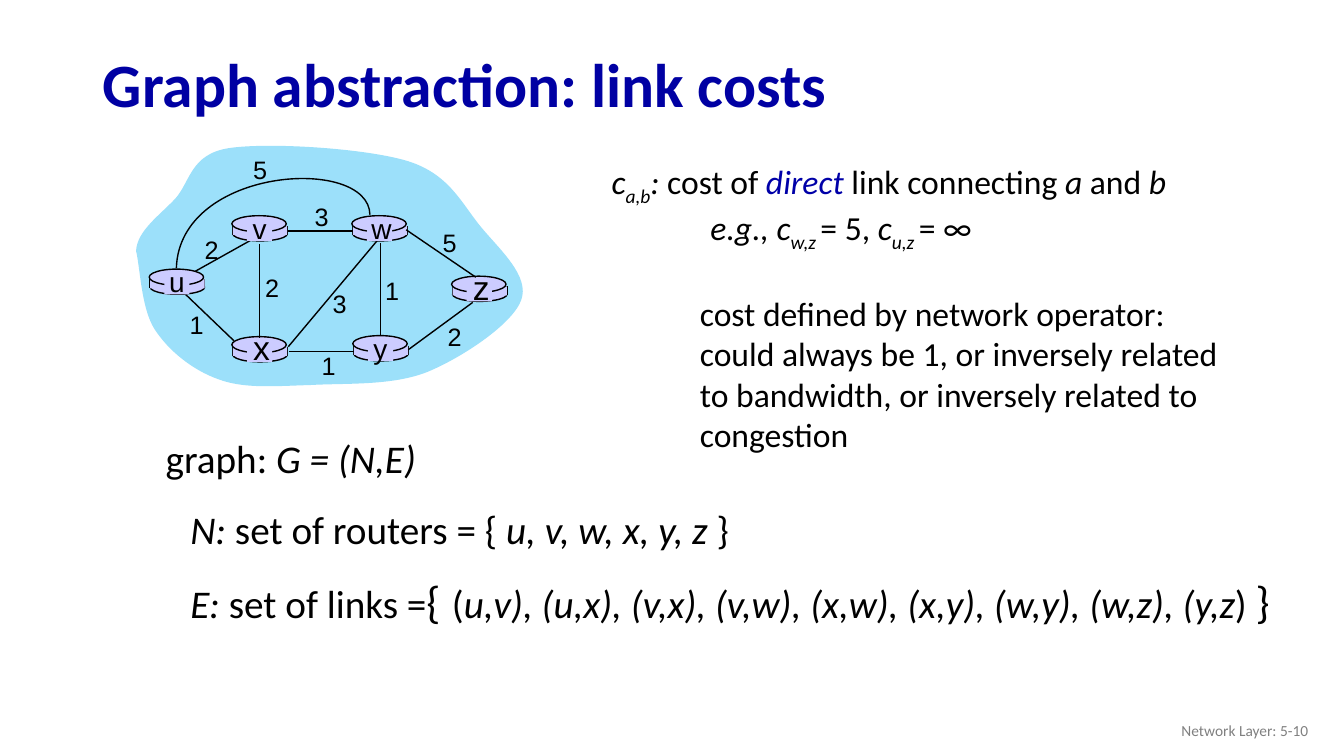
from pptx import Presentation
from pptx import util as u
from pptx.dml import color
from pptx.enum import shapes, text
from pptx.oxml import ns, xmlchemy

COLORS = {"title": "0000A3", "accent": "0000A8", "ink": "000000", "muted": "808080",
          "cloud": "9CE0FA", "router": "CCCCFF"}
COLUMNS, ROWS = 133.33, 75

CLOUD = [(13.5, 24.9),
         (13.6, 22.9), (15.8, 21.4), (17.4, 19.7), (18.9, 18), (18.9, 15.3), (22.7, 14.7),
         (26.6, 14.1), (36.3, 14.7), (40.5, 16), (44.6, 17.3), (45.8, 20.2), (47.7, 22.5),
         (49.6, 24.8), (52.6, 27.4), (51.7, 29.8), (50.8, 32.2), (45.8, 35.5), (42.4, 36.9),
         (38.9, 38.3), (34.2, 38), (30.8, 38.2), (27.3, 38.3), (24.2, 38.6), (21.6, 37.6),
         (19.1, 36.7), (16.7, 34.8), (15.3, 32.6), (14, 30.5), (13.9, 26.5), (13.5, 24.9)]
ARC = [(36.7, 21.3), (36.6, 15.4), (17.8, 16.5), (17.5, 26.6)]

ROUTERS = [("u", 14.8, 26.7, 20), ("x", 23, 33.4, 24), ("v", 23, 21.4, 20),
           ("w", 34.9, 21.4, 20), ("y", 35, 33.3, 20), ("z", 44.8, 27.4, 24)]

LINKS = [((19.4, 26.9), (25.3, 23.6), "2", (21, 24.7)),
         ((37.75, 24.1), (37.75, 33.2), "1", (38.9, 28.8)),
         ((25.75, 24.2), (25.75, 33.5), "2", (27, 28.5)),
         ((28.6, 34.4), (37.4, 23.9), "3", (33.7, 30.1)),
         ((40.5, 34.7), (46.9, 30), "2", (45.1, 33.4)),
         ((35.1, 34.9), (28.7, 34.9), "1", (32.6, 36.3)),
         ((23.2, 33.8), (18.4, 29.2), "1", (19.5, 32.2)),
         ((35, 22.9), (28.6, 22.9), "3", (31.9, 21.5)),
         ((47.2, 27.5), (40.3, 22.8), "5", (44.6, 24.1))]

COST_TEXT = [
    [("c", "i"), ("a,b", "is"), (": ", "i"), ("cost of ", ""), ("direct", "ia"),
     (" link connecting ", ""), ("a", "i"), (" and ", ""), ("b", "i")],
    [("e.g., c", "i"), ("w,z ", "is"), ("= 5, ", ""), ("c", "i"), ("u,z ", "is"), ("= ∞", "")],
    [("cost defined by network operator: could always be 1, or inversely related "
      "to bandwidth, or inversely related to congestion", "")]]
GRAPH_TEXT = [("graph: ", ""), ("G = (N,E)", "i")]
NODES_TEXT = [("N: ", "i"), ("set of routers = { ", ""), ("u, v, w, x, y, z ", "i"), ("}", "")]
LINKS_TEXT = [("E: ", "i"), ("set of links =", ""), ("{", "", 32), (" ", "", 36), ("(", ""),
              ("u,v), (u,x), (v,x), (v,w), (x,w), (x,y), (w,y), (w,z), (y,z", "i"),
              (") ", ""), ("}", "", 32)]


def rgb(name):
    return color.RGBColor.from_string(COLORS[name])


class SlideBuilder:
    body_font, graph_font = "Calibri", "Arial"

    def __init__(self, presentation):
        self.column = presentation.slide_width / COLUMNS
        self.row = presentation.slide_height / ROWS
        self.slide = presentation.slides.add_slide(presentation.slide_layouts[5])
        self.shapes = self.slide.shapes

    def place(self, *lengths):
        return [round(length * (self.row if index % 2 else self.column))
                for index, length in enumerate(lengths)]

    def start_group(self):
        self.shapes = self.slide.shapes.add_group_shape().shapes

    def end_group(self):
        self.shapes = self.slide.shapes

    def format_run(self, run, size, font, tint="ink", bold=False, italic=False):
        run.font.name, run.font.size = font, u.Pt(size)
        run.font.bold, run.font.italic = bold, italic
        run.font.color.rgb = rgb(tint)

    def paint(self, shape, fill=None, outlined=False):
        shape.shadow.inherit = False
        if fill:
            shape.fill.solid()
            shape.fill.fore_color.rgb = rgb(fill)
        else:
            shape.fill.background()
        if outlined:
            shape.line.color.rgb, shape.line.width = rgb("ink"), u.Pt(1)
        else:
            shape.line.fill.background()

    def title(self, wording, left, top, width, height):
        shape = self.slide.shapes.title
        shape.left, shape.top, shape.width, shape.height = self.place(left, top, width, height)
        frame = shape.text_frame
        frame.text = wording
        frame.vertical_anchor = text.MSO_ANCHOR.MIDDLE
        paragraph = frame.paragraphs[0]
        paragraph.alignment, paragraph.line_spacing = text.PP_ALIGN.LEFT, 0.9
        self.format_run(paragraph.runs[0], 44, self.body_font, "title", bold=True)

    def label(self, wording, left, top, width, height, size, font, tint="ink",
              align=text.PP_ALIGN.CENTER):
        frame = self.shapes.add_textbox(*self.place(left, top, width, height)).text_frame
        frame.word_wrap = False
        frame.vertical_anchor = text.MSO_ANCHOR.MIDDLE
        frame.text = wording
        frame.paragraphs[0].alignment = align
        self.format_run(frame.paragraphs[0].runs[0], size, font, tint)

    def graph_label(self, wording, center, size):
        x, y = center
        width, height = {18: (3.4, 4), 20: (3.6, 4.3), 24: (3.7, 5)}[size]
        self.label(wording, x - width / 2, y - height / 2, width, height, size, self.graph_font)

    def rich_text(self, paragraphs, left, top, width, height, size, wrap=False):
        frame = self.shapes.add_textbox(*self.place(left, top, width, height)).text_frame
        frame.word_wrap = wrap
        for index, pieces in enumerate(paragraphs):
            paragraph = frame.add_paragraph() if index else frame.paragraphs[0]
            for wording, style, *custom_size in pieces:
                run = paragraph.add_run()
                run.text = wording
                self.format_run(run, custom_size[0] if custom_size else size, self.body_font,
                                "accent" if "a" in style else "ink", italic="i" in style)
                if "s" in style:
                    run.font._element.set("baseline", "-25000")
        return frame.paragraphs

    def indent(self, paragraph, columns):
        properties = paragraph._p.get_or_add_pPr()
        properties.set("marL", str(round(columns * self.column)))
        properties.set("indent", "0")

    def line(self, start, end):
        connector = self.shapes.add_connector(shapes.MSO_CONNECTOR.STRAIGHT,
                                              *self.place(*start, *end))
        connector.line.color.rgb, connector.line.width = rgb("ink"), u.Pt(1)
        connector._element.spPr.append(xmlchemy.OxmlElement("a:effectLst"))

    def curve(self, points, fill=None):
        builder = self.shapes.build_freeform(*self.place(*points[0]))
        builder.add_line_segments([self.place(*point) for point in points[1:]],
                                  close=bool(fill))
        shape = builder.convert_to_shape()
        segments = list(shape._element.iter(ns.qn("a:lnTo")))
        for index in range(0, len(segments), 3):
            bend = xmlchemy.OxmlElement("a:cubicBezTo")
            segments[index].addprevious(bend)
            for segment in segments[index:index + 3]:
                bend.append(segment[0])
                segment.getparent().remove(segment)
        self.paint(shape, fill, outlined=not fill)

    def block(self, kind, left, top, width, height, outlined=False):
        shape = self.shapes.add_shape(kind, *self.place(left, top, width, height))
        self.paint(shape, "router", outlined)

    def router(self, left, top):
        oval, box = shapes.MSO_SHAPE.OVAL, shapes.MSO_SHAPE.RECTANGLE
        self.block(oval, left + 0.1, top + 1.1, 5.4, 1.4, outlined=True)
        for side in (left + 0.1, left + 5.5):
            self.line((side, top + 1), (side, top + 1.9))
        self.block(box, left + 0.1, top + 1, 5.4, 0.9)
        self.block(oval, left, top, 5.4, 1.6, outlined=True)

    def router_name(self, name, left, top, size):
        self.block(shapes.MSO_SHAPE.RECTANGLE, left + 1.5, top + 0.2, 2.5, 2.3)
        shift, drop = (2.75, 1.25) if size == 20 else (2.95, 1.05)
        self.graph_label(name, (left + shift, top + drop), size)


def main():
    presentation = Presentation()
    presentation.slide_width, presentation.slide_height = u.Inches(13.33), u.Inches(7.5)
    builder = SlideBuilder(presentation)
    builder.title("Graph abstraction: link costs", 9.2, 3.8, 75, 9.8)
    builder.label("Network Layer: 5-10", 100.8, 70.5, 30, 4, 11, builder.body_font,
                  "muted", text.PP_ALIGN.RIGHT)

    builder.start_group()
    builder.curve(CLOUD, "cloud")
    for name, left, top, size in ROUTERS:
        builder.router(left, top)
    for start, end, cost, center in LINKS:
        builder.line(start, end)
    builder.curve(ARC)
    for router in ROUTERS:
        builder.router_name(*router)
    for start, end, cost, center in LINKS:
        builder.graph_label(cost, center, 18)
    builder.graph_label("5", (25.8, 16.85), 18)
    builder.end_group()

    builder.rich_text([GRAPH_TEXT], 15.45, 42.6, 27.1, 10.4, 28)
    definition, example, operator = builder.rich_text(COST_TEXT, 59.7, 15.5, 64.4, 29.3, 24,
                                                      wrap=True)
    builder.indent(example, 9.8)
    builder.indent(operator, 8.75)
    operator.space_before = u.Pt(28.5)
    builder.rich_text([NODES_TEXT], 17.9, 49.6, 55.9, 5.7, 28)
    builder.rich_text([LINKS_TEXT], 17.9, 55.85, 110.2, 7.1, 28)
    presentation.save("out.pptx")


if __name__ == "__main__":
    main()
